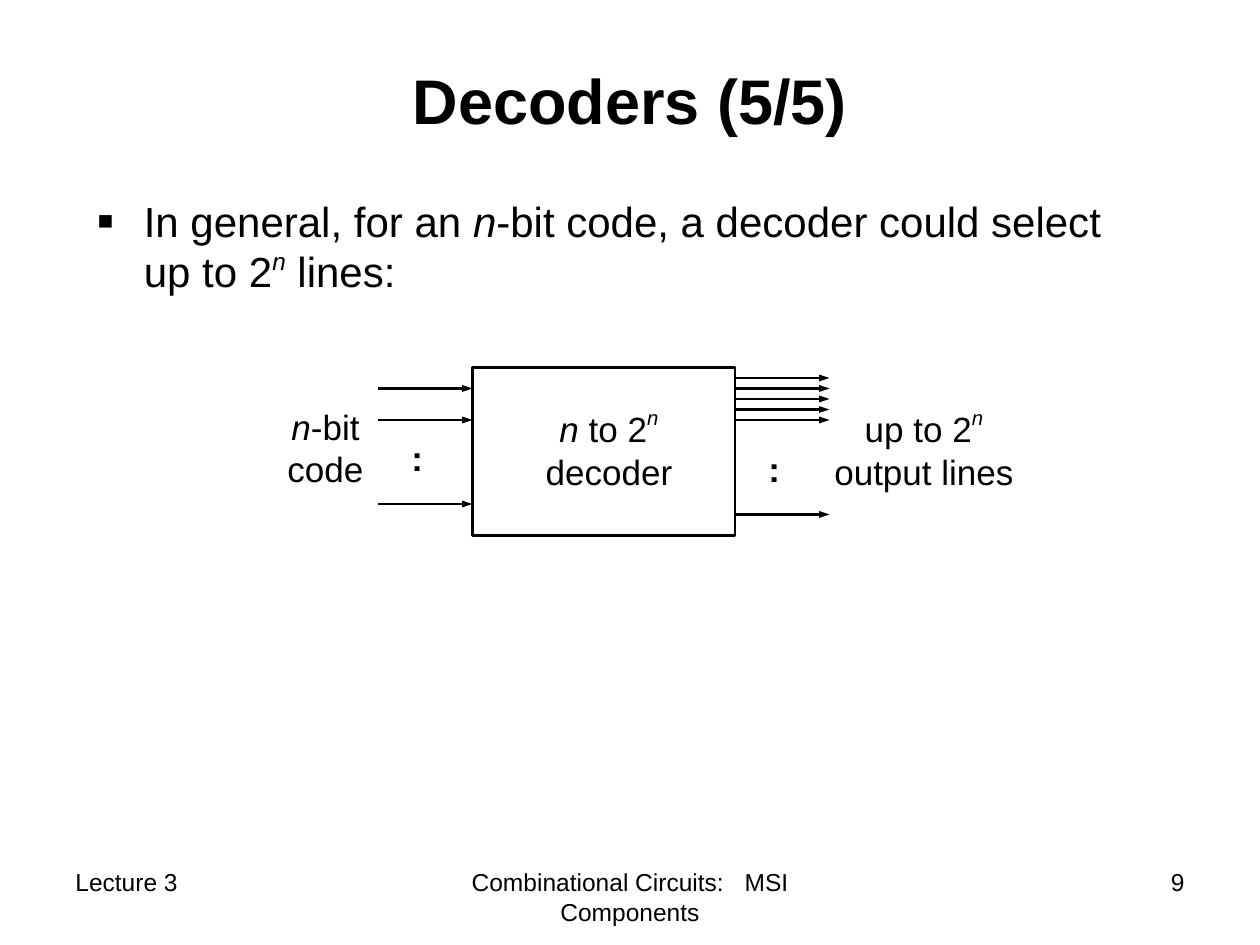
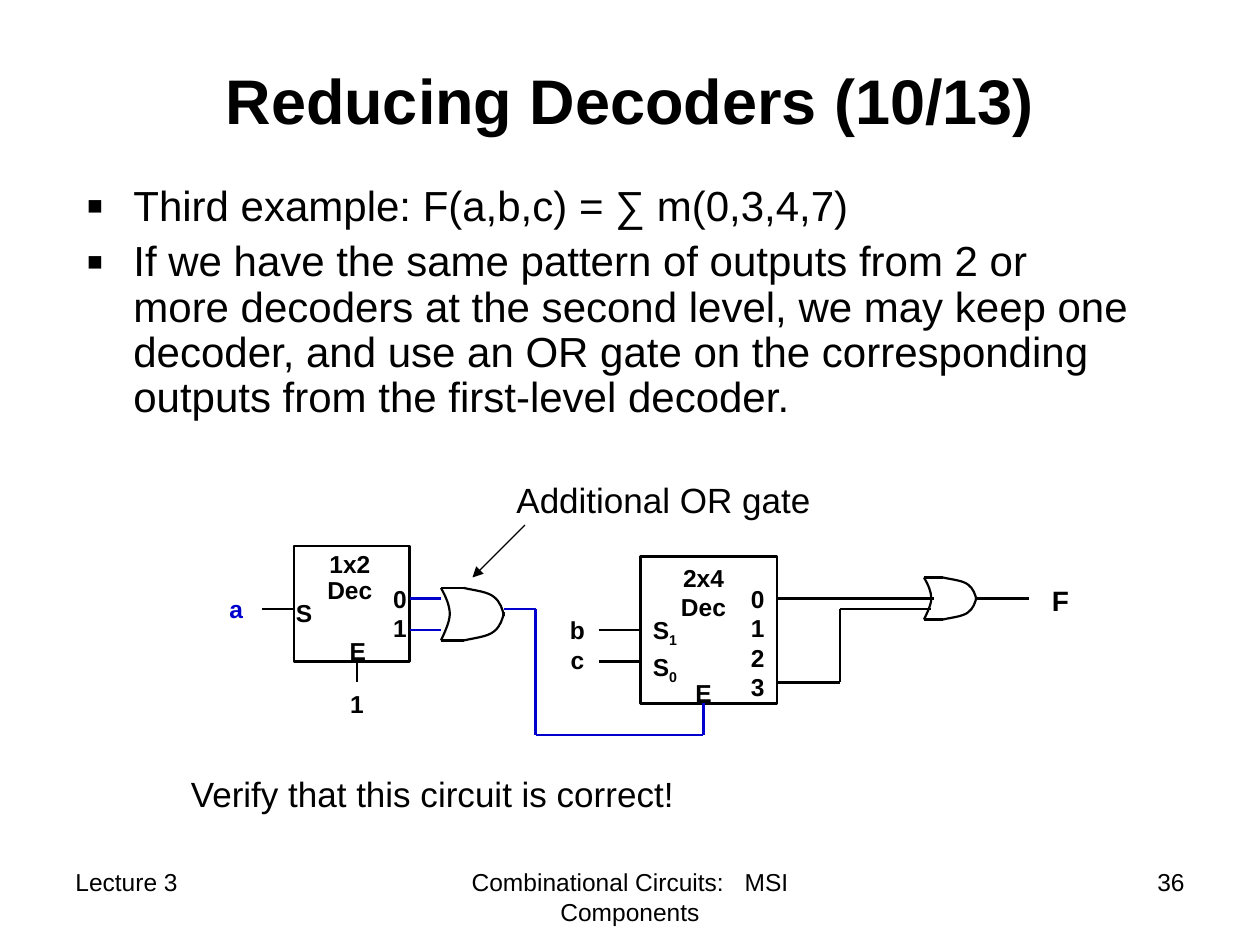
"""Builds two lecture slides on decoders, each with a bulleted list and a circuit diagram."""
from dataclasses import dataclass
from itertools import pairwise

from lxml import etree
from pptx import Presentation
from pptx.dml.color import RGBColor
from pptx.enum.shapes import MSO_CONNECTOR, MSO_SHAPE
from pptx.enum.text import MSO_ANCHOR, MSO_AUTO_SIZE, PP_ALIGN
from pptx.oxml.ns import qn
from pptx.util import Inches, Pt

LEFT, CENTER, RIGHT = PP_ALIGN.LEFT, PP_ALIGN.CENTER, PP_ALIGN.RIGHT
MIDDLE, TOP = MSO_ANCHOR.MIDDLE, MSO_ANCHOR.TOP
NO_FIT = MSO_AUTO_SIZE.NONE
STRAIGHT, RECTANGLE = MSO_CONNECTOR.STRAIGHT, MSO_SHAPE.RECTANGLE


@dataclass(frozen=True)
class Theme:
    font: str = "Arial"
    ink: RGBColor = RGBColor(0, 0, 0)
    signal: RGBColor = RGBColor(0, 0, 0xCC)
    title: int = 36
    body: int = 24
    label: int = 20
    output: int = 16
    pin: int = 14
    footer: int = 14
    box_line: float = 1.5
    wire: float = 1.25
    thin: float = 0.75


THEME = Theme()
GRID_STEPS = 12

ITALIC = {"italic": True}
BODY_POWER = {"italic": True, "baseline": 40000}
POWER = {"italic": True, "baseline": 50000}
SUBSCRIPT = {"baseline": -25000}
WIDE_SPACE = {"spc": 780}

TITLE_BOX = (0.75, 0.17, 8.5, 1.25)
FOOTER_TOP, FOOTER_HEIGHT = 6.83, 0.52
FOOTERS = [
    ("Lecture 3", 0.5, 2.33, LEFT),
    (["Combinational Circuits:", (" ", WIDE_SPACE), "MSI Components"], 3.42, 3.17, CENTER),
]
NUMBER_FOOTER = (7.17, 2.33, RIGHT)

GENERAL = {
    "title": "Decoders (5/5)",
    "number": "9",
    "body_box": (0.67, 1.5, 8.5, 0.92),
    "bullets": [[
        "In general, for an ", ("n", ITALIC),
        "-bit code, a decoder could select up to 2", ("n", BODY_POWER), " lines:",
    ]],
    "line_spacing": 1.0,
}
DECODER_BOX = (3.75, 2.92, 2.08, 1.33)
INPUT_HEIGHTS = [3.08, 3.33, 4]
OUTPUT_HEIGHTS = [3 + step / GRID_STEPS for step in range(5)] + [4.08]
ARROW_LENGTH = 0.75
GENERAL_LABELS = [
    ([[("n", ITALIC), "-bit"], "code"], (2, 3.17, 1.17, 0.77)),
    ([[("n", ITALIC), " to 2", ("n", POWER)], "decoder"], (4, 3.17, 1.67, 0.79)),
    ([["up to 2", ("n", POWER)], "output lines"], (6.5, 3.17, 1.67, 0.79)),
]
ELLIPSIS_BOXES = [(3.17, 3.42, 0.33, 0.44), (6, 3.5, 0.33, 0.44)]

REDUCING = {
    "title": "Reducing Decoders (10/13)",
    "number": "36",
    "body_box": (0.58, 1.42, 8.5, 2.17),
    "bullets": [
        "Third example: F(a,b,c) = ∑ m(0,3,4,7)",
        "If we have the same pattern of outputs from 2 or more decoders at the second level, "
        "we may keep one decoder, and use an OR gate on the corresponding outputs from the "
        "first-level decoder.",
    ],
    "line_spacing": 0.9,
}
REDUCING_BOXES = [(2.33, 4.33, 0.92, 0.92), (5.08, 4.42, 1.08, 1.17)]
OR_GATES = [(3.5, 4.67, 0.5, 0.42), (7.33, 4.58, 0.42, 0.33)]
BLACK_WIRES = [
    [(2.08, 4.83), (2.33, 4.83)],
    [(4.75, 5), (5.08, 5)],
    [(4.75, 5.25), (5.08, 5.25)],
    [(6.17, 4.75), (7.42, 4.75)],
    [(6.83, 4.75), (7.42, 4.75)],
    [(6.17, 5.42), (6.67, 5.42), (6.67, 4.83), (7.39, 4.83)],
    [(7.75, 4.75), (8.17, 4.75)],
]
SIGNAL_WIRES = [
    [(3.25, 4.75), (3.5, 4.75)],
    [(3.25, 5), (3.5, 5)],
    [(4, 4.83), (4.25, 4.83), (4.25, 5.83), (5.58, 5.83), (5.58, 5.58)],
]
ENABLE_WIRE = [(2.83, 5.25), (2.83, 5.42)]
GATE_POINTER = [(4.17, 4.17), (3.75, 4.58)]
PIN_LABELS = [
    (["1x2", "Dec"], (2.36, 4.33, 0.83, 0.52), {"line_spacing": 0.9}),
    (["S"], (2.25, 4.7, 0.47, 0.34), {"align": LEFT}),
    (["0", "1"], (2.91, 4.58, 0.42, 0.57), {"align": RIGHT}),
    (["E"], (2.66, 5, 0.36, 0.34), {}),
    (["1"], (2.58, 5.42, 0.5, 0.34), {}),
    (["a"], (1.67, 4.67, 0.42, 0.34), {"color": THEME.signal}),
    (["b", "c"], (4.42, 4.83, 0.33, 0.57), {}),
    (["2x4", "Dec"], (5.17, 4.42, 0.83, 0.57), {}),
    ([["S", ("1", SUBSCRIPT)], ["S", ("0", SUBSCRIPT)]], (5.08, 4.83, 0.47, 0.66),
     {"align": LEFT, "space_before": 1.8}),
    (["0", "1", "2", "3"], (5.75, 4.58, 0.42, 1.04), {"align": RIGHT}),
    (["E"], (5.42, 5.33, 0.33, 0.34), {}),
    (["F"], (8.25, 4.58, 0.33, 0.37), {"align": LEFT, "size": THEME.output}),
]
CAPTIONS = [
    ("Additional OR gate", (4, 3.75, 3.17, 0.44)),
    ("Verify that this circuit is correct!", (1.42, 6.08, 4.17, 0.44)),
]

GATE_BACK = [(0, 0), (0.08, 0.17), (0.14, 0.34), (0.14, 0.5),
             (0.14, 0.66), (0.03, 0.92), (0, 1)]
GATE_UPPER = [(0.36, 0), (0.54, 0.05), (0.74, 0.07), (0.84, 0.17),
              (0.94, 0.26), (0.98, 0.41), (1, 0.54)]
GATE_LOWER = [(x, 1 - y) for x, y in GATE_UPPER]
GATE_EDGES = [[(0, y), (0.36, y)] for y in (0, 1)]


def snapped(length):
    nearest = round(length * GRID_STEPS) / GRID_STEPS
    return nearest if abs(nearest - length) < 0.006 else length


def lengths(values):
    return [Inches(snapped(value)) for value in values]


def place(shape, box):
    shape.left, shape.top, shape.width, shape.height = lengths(box)


def add_bullet(paragraph):
    properties = paragraph._p.get_or_add_pPr()
    properties.set("marL", str(Inches(3 / 8)))
    properties.set("indent", str(-Inches(3 / 8)))
    for tag, name, value in [("buSzPct", "val", "120000"), ("buFont", "typeface", THEME.font),
                             ("buChar", "char", "▪")]:
        etree.SubElement(properties, qn(f"a:{tag}")).set(name, value)


def write_text(shape, paragraphs, *, size, bold=False, color=THEME.ink, align=LEFT,
               anchor=TOP, space_before=0, line_spacing=1.0, bullet=False):
    frame = shape.text_frame
    frame.word_wrap = True
    frame.auto_size = NO_FIT
    frame.vertical_anchor = anchor
    for index, runs in enumerate(paragraphs):
        paragraph = frame.add_paragraph() if index else frame.paragraphs[0]
        paragraph.alignment = align
        paragraph.space_before = Pt(space_before if index else 0)
        paragraph.line_spacing = line_spacing
        if bullet:
            add_bullet(paragraph)
        for part in [runs] if isinstance(runs, str) else runs:
            text, style = (part, {}) if isinstance(part, str) else part
            run = paragraph.add_run()
            run.text = text
            font = run.font
            font.name, font.size, font.bold = THEME.font, Pt(size), bold
            font.italic = style.get("italic", False)
            font.color.rgb = color
            for name in style.keys() & {"baseline", "spc"}:
                run._r.get_or_add_rPr().set(name, str(style[name]))


def add_label(slide, paragraphs, box, **text_format):
    write_text(slide.shapes.add_textbox(*lengths(box)), paragraphs, **text_format)


def outline(shape, width):
    shape.shadow.inherit = False
    shape.fill.background()
    shape.line.color.rgb = THEME.ink
    shape.line.width = Pt(width)


def add_box(slide, box):
    outline(slide.shapes.add_shape(RECTANGLE, *lengths(box)), THEME.box_line)


def add_wire(slide, points, color=THEME.ink, width=THEME.wire, head_width=None):
    for start, end in pairwise(points):
        connector = slide.shapes.add_connector(STRAIGHT, *lengths((*start, *end)))
        connector.line.color.rgb = color
        connector.line.width = Pt(width)
        if head_width:
            head = etree.SubElement(connector.line._get_or_add_ln(), qn("a:tailEnd"))
            for name, value in {"type": "triangle", "w": head_width, "len": "med"}.items():
                head.set(name, value)
        etree.SubElement(connector._element.spPr, qn("a:effectLst"))


def add_curve(slide, points):
    """Draw a Bézier curve from a start point and three points for each segment."""
    start, *others = [(Inches(x), Inches(y)) for x, y in points]
    builder = slide.shapes.build_freeform(*start)
    builder.add_line_segments(others, close=False)
    shape = builder.convert_to_shape()
    segments = list(shape._element.iter(qn("a:lnTo")))
    for first in range(0, len(segments), 3):
        curve = etree.Element(qn("a:cubicBezTo"))
        segments[first].addprevious(curve)
        for segment in segments[first:first + 3]:
            curve.append(segment[0])
            segment.getparent().remove(segment)
    outline(shape, THEME.wire)


def add_or_gate(slide, box):
    left, top, width, height = map(snapped, box)

    def scaled(points):
        return [(left + x * width, top + y * height) for x, y in points]

    for curve in (GATE_BACK, GATE_UPPER, GATE_LOWER):
        add_curve(slide, scaled(curve))
    for edge in GATE_EDGES:
        add_wire(slide, scaled(edge))


def add_lecture_slide(presentation, content):
    slide = presentation.slides.add_slide(presentation.slide_layouts[1])
    title, body = slide.placeholders
    place(title, TITLE_BOX)
    write_text(title, [content["title"]], size=THEME.title, bold=True, align=CENTER,
               anchor=MIDDLE)
    place(body, content["body_box"])
    write_text(body, content["bullets"], size=THEME.body, space_before=6, bullet=True,
               line_spacing=content["line_spacing"])
    for text, left, width, align in FOOTERS + [(content["number"], *NUMBER_FOOTER)]:
        add_label(slide, [text], (left, FOOTER_TOP, width, FOOTER_HEIGHT),
                  size=THEME.footer, align=align)
    return slide


def draw_general_decoder(slide):
    add_box(slide, DECODER_BOX)
    left, right = DECODER_BOX[0], DECODER_BOX[0] + DECODER_BOX[2]
    for start, heights in [(left - ARROW_LENGTH, INPUT_HEIGHTS), (right, OUTPUT_HEIGHTS)]:
        for height in heights:
            add_wire(slide, [(start, height), (start + ARROW_LENGTH, height)],
                     head_width="sm")
    for box in ELLIPSIS_BOXES:
        add_label(slide, [":"], box, size=THEME.label, bold=True)
    for paragraphs, box in GENERAL_LABELS:
        add_label(slide, paragraphs, box, size=THEME.label, align=CENTER)


def draw_reduced_circuit(slide):
    for box in REDUCING_BOXES:
        add_box(slide, box)
    for box in OR_GATES:
        add_or_gate(slide, box)
    for wires, color in [(BLACK_WIRES, THEME.ink), (SIGNAL_WIRES, THEME.signal)]:
        for points in wires:
            add_wire(slide, points, color)
    add_wire(slide, ENABLE_WIRE, width=THEME.thin)
    add_wire(slide, GATE_POINTER, width=THEME.thin, head_width="med")
    for paragraphs, box, changes in PIN_LABELS:
        text_format = {"size": THEME.pin, "bold": True, "align": CENTER} | changes
        add_label(slide, paragraphs, box, **text_format)
    for text, box in CAPTIONS:
        add_label(slide, [text], box, size=THEME.label)


def main():
    presentation = Presentation()
    presentation.slide_width, presentation.slide_height = Inches(10), Inches(7.5)
    draw_general_decoder(add_lecture_slide(presentation, GENERAL))
    draw_reduced_circuit(add_lecture_slide(presentation, REDUCING))
    presentation.save("out.pptx")


if __name__ == "__main__":
    main()
